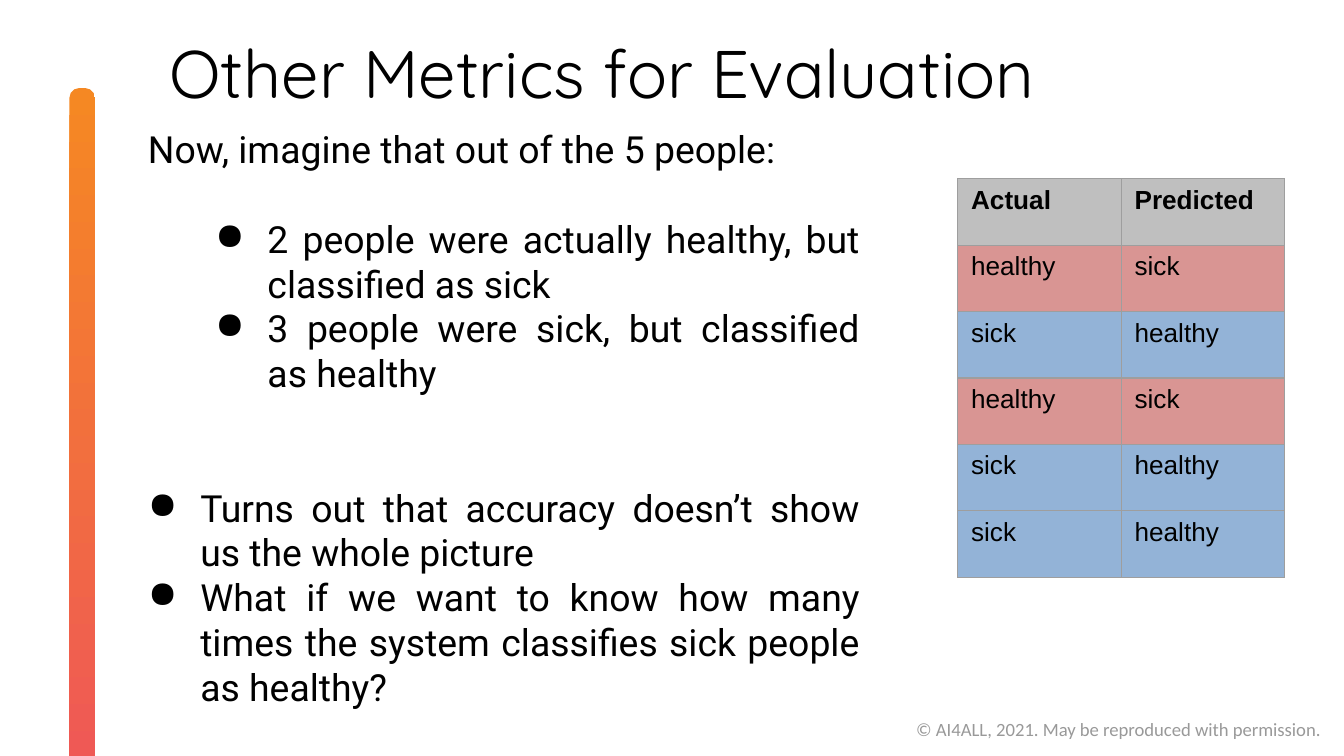
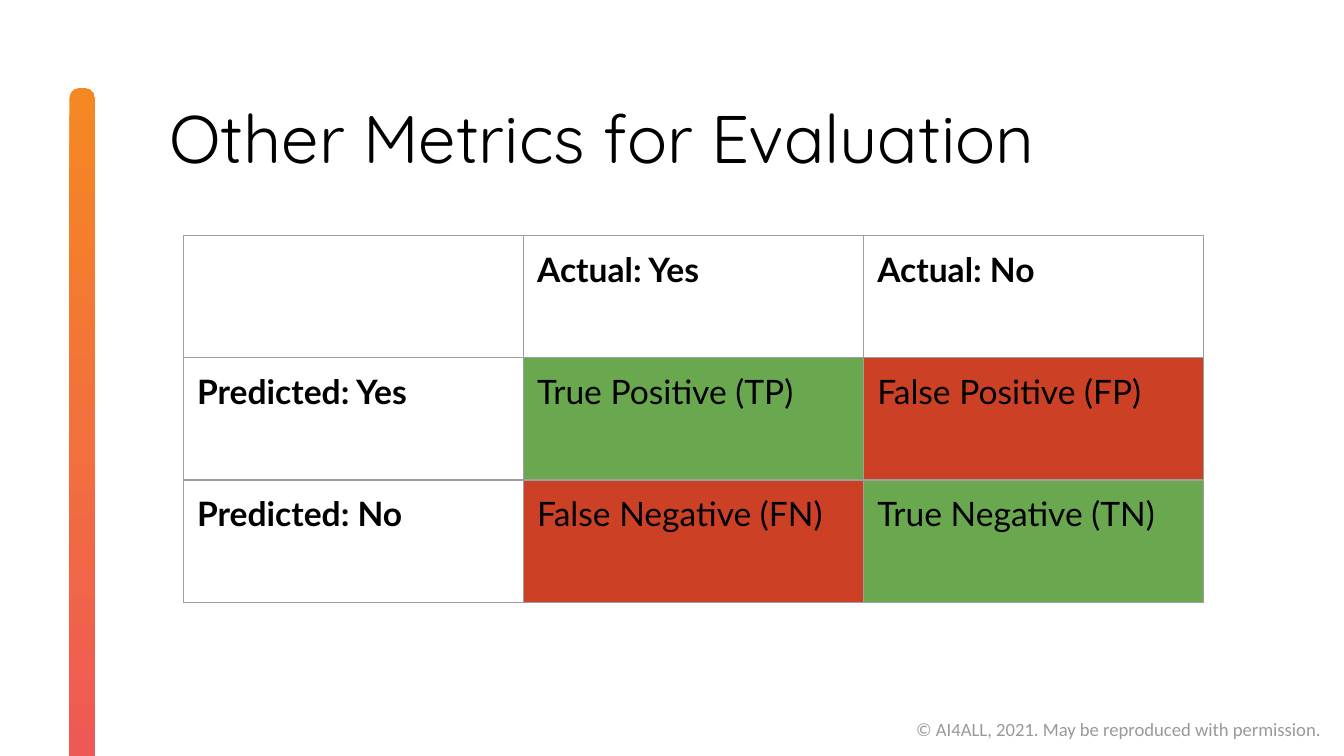
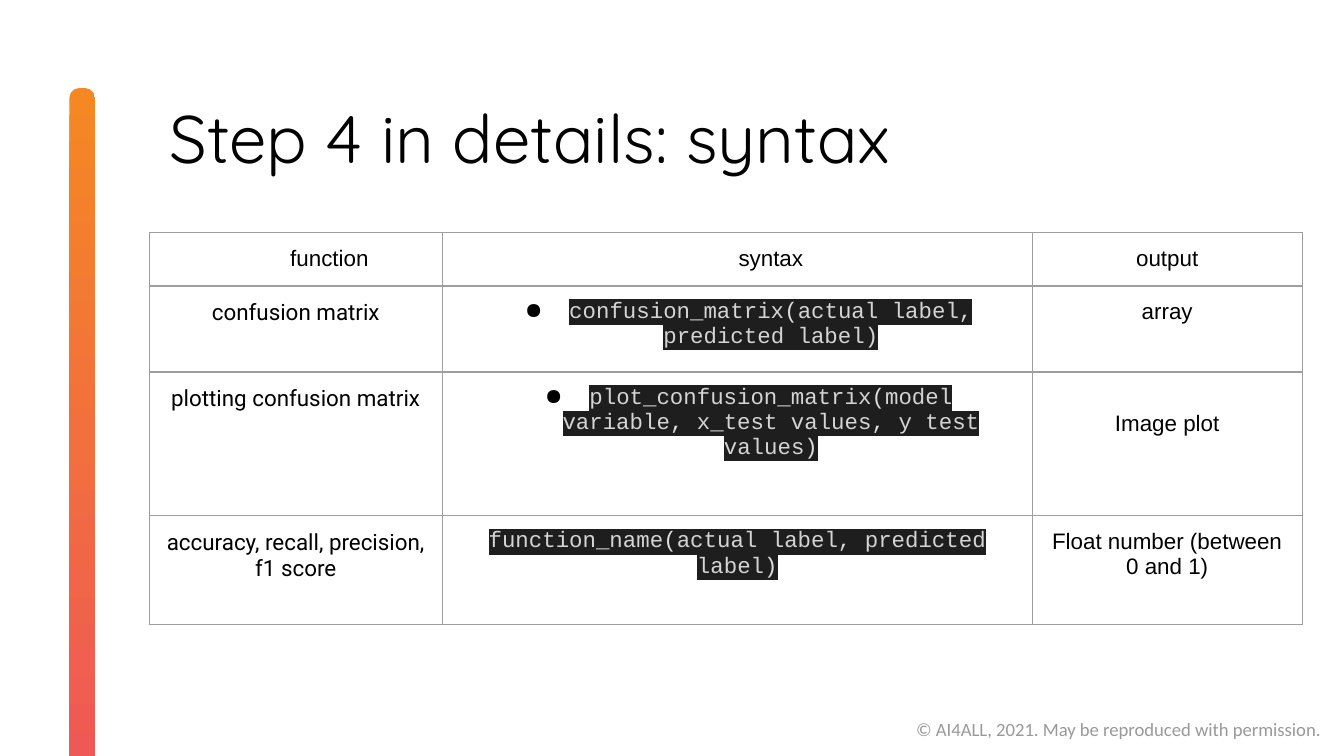
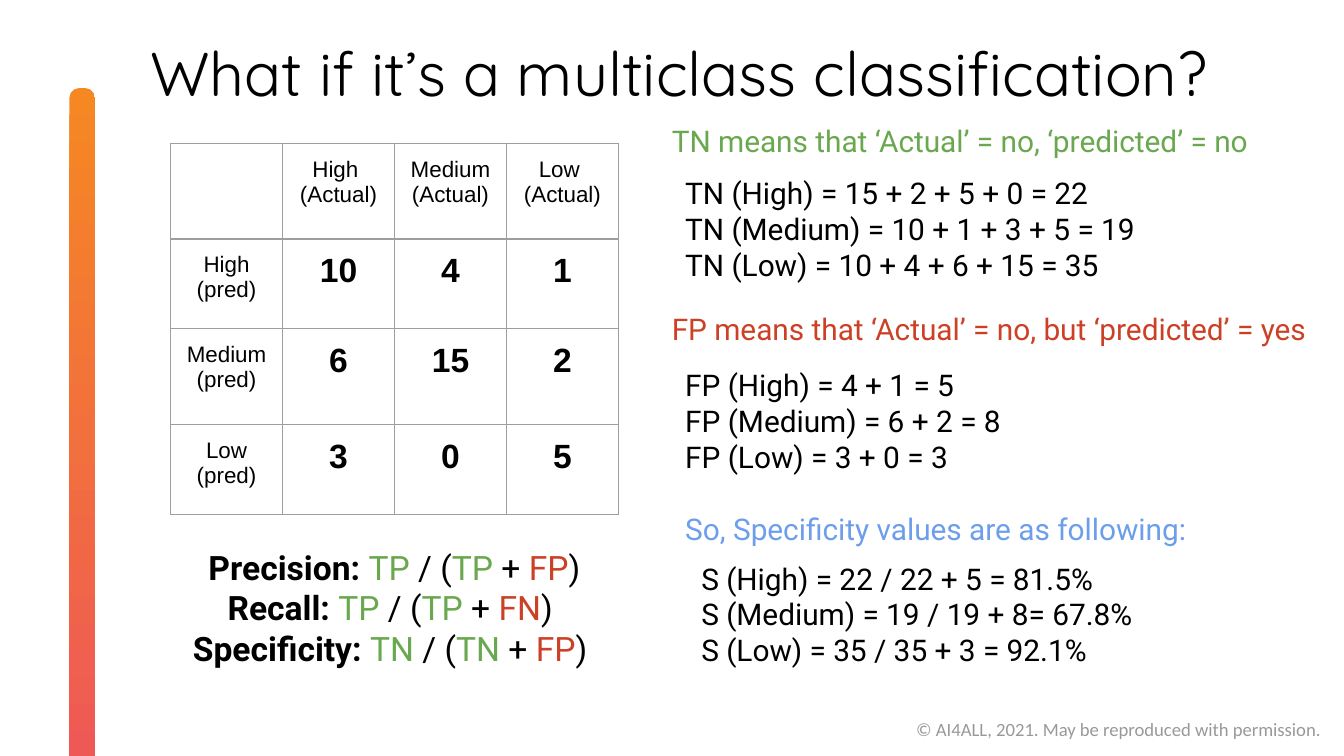
from itertools import cycle
from lxml.etree import SubElement
from pptx import Presentation
from pptx.dml.color import RGBColor
from pptx.enum.shapes import MSO_SHAPE
from pptx.enum.text import MSO_ANCHOR, PP_ALIGN
from pptx.oxml.ns import qn
from pptx.util import Pt

HUES = {
    "black": "000000", "white": "FFFFFF", "foot": "999999", "edge": "9E9E9E",
    "orange": "F58823", "coral": "EF5757", "head": "BFBFBF",
    "rose": "D99593", "sky": "93B3D7", "green": "6AA84F", "red": "CC4125",
    "blue": "6D9EEB", "code": "D4D4D4", "mark": "DCDCDC", "dark": "1E1E1E",
}
FOOT = "© AI4ALL, 2021. May be reproduced with permission."
CENTER = PP_ALIGN.CENTER

# Slide 1: text, left indent, hanging indent, space before
POINTS = [
    ("Now, imagine that out of the 5 people:", 8, 0, 0),
    ("2 people were actually healthy, but classified as sick", 72, 28, 24),
    ("3 people were sick, but classified as healthy", 72, 28, 0),
    ("Turns out that accuracy doesn’t show us the whole picture", 36, 28, 48),
    ("What if we want to know how many times the system classifies "
     "sick people as healthy?", 36, 28, 0),
]
CASES = [
    ("Actual", "Predicted"),
    ("healthy", "sick"),
    ("sick", "healthy"),
    ("healthy", "sick"),
    ("sick", "healthy"),
    ("sick", "healthy"),
]
TINTS = {"Actual": "head", "healthy": "rose", "sick": "sky"}

# Slide 2
MATRIX = [
    ("", "Actual: Yes", "Actual: No"),
    ("Predicted: Yes", "True Positive (TP)", "False Positive (FP)"),
    ("Predicted: No", "False Negative (FN)", "True Negative (TN)"),
]

# Slide 3: code pieces alternate between words and marks
SYNTAX = [
    ("function", "syntax", "output"),
    ("confusion matrix", "", "array"),
    ("plotting confusion matrix", "", "Image plot"),
    ("accuracy, recall, precision, f1 score", "",
     "Float number (between 0 and 1)"),
]
CALLS = [
    ("confusion_matrix", "(", "actual label, predicted label)"),
    ("plot_confusion_matrix", "(", "model variable", ", ", "x_test values",
     ",", " y test values", ")"),
    ("function_name", "(", "actual label, predicted label", ")"),
]

# Slide 4
COUNTS = [
    ("", "High \n(Actual)", "Medium (Actual)", "Low \n(Actual)"),
    ("High (pred)", "10", "4", "1"),
    ("Medium (pred)", "6", "15", "2"),
    ("Low (pred)", "3", "0", "5"),
]
RATIOS = [
    ("Precision: ", "TP", " / (", "TP ", "+ ", "FP", ")"),
    ("Recall: ", "TP", " / (", "TP", " + ", "FN", ") "),
    ("Specificity: ", "TN ", "/ (", "TN", " + ", "FP", ") "),
]
TERMS = {"TP": "green", "TN": "green", "FP": "red", "FN": "red"}
NOTES = [  # left, top, width, height, colour, text
    (352.8, 58.3, 364, 34, "green",
     "TN means that ‘Actual’ = no, ‘predicted’ = no"),
    (360, 86.4, 343, 73, "black",
     "TN (High) = 15 + 2 + 5 + 0 = 22\n"
     "TN (Medium) = 10 + 1 + 3 + 5 = 19\n"
     "TN (Low) = 10 + 4 + 6 + 15 = 35"),
    (360, 266.4, 364, 34, "blue", "So, Specificity values are as following:"),
    (368.6, 293, 301, 73, "black",
     "S (High) = 22 / 22 + 5 = 81.5%\n"
     "S (Medium) = 19 / 19 + 8= 67.8%\n"
     "S (Low) = 35 / 35 + 3 = 92.1%"),
    (360, 189.4, 292, 73, "black",
     "FP (High) = 4 + 1 = 5\nFP (Medium) = 6 + 2 = 8\nFP (Low) = 3 + 0 = 3"),
    (352.8, 159.1, 364, 34, "red",
     "FP means that ‘Actual’ = no, but ‘predicted’ = yes"),
]


def rgb(name):
    return RGBColor.from_string(HUES[name])


def pts(*nums):
    return [Pt(n) for n in nums]


# Text helpers
def style(run, size, face, hue="black", bold=False):
    font = run.font
    font.size, font.name, font.bold = Pt(size), face, bold
    font.color.rgb = rgb(hue)


def ink(frame, size, face, hue="black", bold=False, align=None):
    for para in frame.paragraphs:
        para.alignment = align
        for run in para.runs:
            style(run, size, face, hue, bold)


def pad(item, side, edge):
    item.margin_left = item.margin_right = Pt(side)
    item.margin_top = item.margin_bottom = Pt(edge)


def add_run(para, text, *look):
    run = para.add_run()
    run.text = text
    style(run, *look)
    return run


def indent(para, left, hang=0):
    props = para._p.get_or_add_pPr()
    props.set("marL", str(Pt(left)))
    props.set("indent", str(Pt(-hang)))
    if hang:
        tone = SubElement(props, qn("a:buClr"))
        SubElement(tone, qn("a:srgbClr"), val=HUES["black"])
        SubElement(props, qn("a:buChar"), char="●")


def shade(run, hue):
    fill = run._r.rPr.find(qn("a:solidFill"))
    mark = SubElement(run._r.rPr, qn("a:highlight"))
    SubElement(mark, qn("a:srgbClr"), val=HUES[hue])
    fill.addnext(mark)


def add_text(slide, box, text="", side=0, edge=0, wrap=True):
    frame = slide.shapes.add_textbox(*pts(*box)).text_frame
    frame.word_wrap = wrap
    pad(frame, side, edge)
    frame.text = text
    return frame


# Tables
def rule(cell):
    props = cell._tc.get_or_add_tcPr()
    for spot, side in enumerate(("lnL", "lnR", "lnT", "lnB")):
        line = SubElement(props, qn("a:" + side), w=str(Pt(0.75)))
        fill = SubElement(line, qn("a:solidFill"))
        SubElement(fill, qn("a:srgbClr"), val=HUES["edge"])
        props.insert(spot, line)


def add_grid(slide, left, top, wide, high, data, edge=7.2):
    box = pts(left, top, sum(wide), sum(high))
    grid = slide.shapes.add_table(len(high), len(wide), *box).table
    grid.first_row = grid.horz_banding = False
    for col, size in zip(grid.columns, wide):
        col.width = Pt(size)
    for row, size, texts in zip(grid.rows, high, data):
        row.height = Pt(size)
        for cell, text in zip(row.cells, texts):
            cell.text = text
            pad(cell, 7.2, edge)
            cell.fill.background()
            rule(cell)
    return grid


def paint(cell, hue):
    cell.fill.solid()
    cell.fill.fore_color.rgb = rgb(hue)


# Shared frame: footer, side band, title
def add_slide(deck, text, left=90.7, top=51.8, width=578, size=36):
    slide = deck.slides.add_slide(deck.slide_layouts[5])
    slide.background.fill.solid()
    slide.background.fill.fore_color.rgb = rgb("white")

    foot = add_text(slide, (483.8, 380.9, 233.3, 19.4), FOOT, 7.2, 3.6, False)
    ink(foot, 10, "Calibri", "foot")

    band = slide.shapes.add_shape(MSO_SHAPE.ROUNDED_RECTANGLE,
                                  *pts(-142.5, 226.8, 373, 13.7))
    band.rotation = 90
    band.adjustments[0] = 0.39
    band.shadow.inherit = False
    band.line.fill.background()
    band.fill.gradient()
    band.fill.gradient_angle = 0
    for stop, hue in zip(band.fill.gradient_stops, ("orange", "coral")):
        stop.color.rgb = rgb(hue)

    title = slide.shapes.title
    title.left, title.top, title.width, title.height = pts(left, top, width, 51)
    frame = title.text_frame
    frame.text = text
    frame.vertical_anchor = MSO_ANCHOR.TOP
    pad(frame, 0, 0)
    ink(frame, size, "Quicksand", align=PP_ALIGN.LEFT)
    return slide


def show_cases(deck):
    slide = add_slide(deck, "Other Metrics for Evaluation", top=16.6)
    frame = add_text(slide, (71.3, 67.7, 389.5, 313),
                     "\n".join(point[0] for point in POINTS))
    ink(frame, 20, "Roboto", align=PP_ALIGN.JUSTIFY)
    for para, (_, left, hang, gap) in zip(frame.paragraphs, POINTS):
        indent(para, left, hang)
        if gap:
            para.space_before = Pt(gap)

    grid = add_grid(slide, 513, 95.8, [87.6] * 2, [35.6] * 6, CASES, 3.6)
    for num, row in enumerate(grid.rows):
        for cell in row.cells:
            ink(cell.text_frame, 14, "Arial", bold=num == 0)
            paint(cell, TINTS[CASES[num][0]])


def show_matrix(deck):
    slide = add_slide(deck, "Other Metrics for Evaluation")
    grid = add_grid(slide, 98.4, 126.2, [182.2] * 3, [65.5] * 3, MATRIX)
    for r, row in enumerate(grid.rows):
        for c, cell in enumerate(row.cells):
            ink(cell.text_frame, 18, "Lato", bold=r == 0 or c == 0)
            if r and c:
                paint(cell, "green" if r == c else "red")


def show_syntax(deck):
    slide = add_slide(deck, "Step 4 in details: syntax")
    grid = add_grid(slide, 80, 124.4, [157, 316, 144.7],
                    [27.5, 46.1, 77, 58.3], SYNTAX)
    for r, row in enumerate(grid.rows):
        for c, cell in enumerate(row.cells):
            face = "Roboto" if r and c == 0 else "Arial"
            ink(cell.text_frame, 12, face, align=CENTER)
            if r == 0 and c < 2:
                indent(cell.text_frame.paragraphs[0], 36)
    for r, call in enumerate(CALLS, 1):
        para = grid.cell(r, 1).text_frame.paragraphs[0]
        if r < len(CALLS):
            indent(para, 36, 23.8)
        for text, hue in zip(call, cycle(("code", "mark"))):
            shade(add_run(para, text, 12, "Courier New", hue), "dark")
    grid.cell(2, 2).margin_top = Pt(21)


def show_classes(deck):
    slide = add_slide(deck, "What if it’s a multiclass classification?",
                      80.6, 18.7, 605, 33)
    frame = add_text(slide, (91.4, 293, 239.8, 87))
    for num, ratio in enumerate(RATIOS):
        para = frame.add_paragraph() if num else frame.paragraphs[0]
        para.alignment = CENTER
        for spot, text in enumerate(ratio):
            hue = TERMS.get(text.strip(), "black")
            add_run(para, text, 18, "Roboto", hue, spot == 0)

    grid = add_grid(slide, 91.4, 76.8, [60] * 4, [51.2, 48.2] * 2, COUNTS)
    for r, row in enumerate(grid.rows):
        for c, cell in enumerate(row.cells):
            count = r > 0 and c > 0
            ink(cell.text_frame, 18 if count else 12, "Arial",
                bold=count, align=CENTER)

    for *box, hue, text in NOTES:
        ink(add_text(slide, box, text, 7.2, 7.2), 16, "Roboto", hue)


def main():
    deck = Presentation()
    deck.slide_width, deck.slide_height = pts(720, 405)
    for show in (show_cases, show_matrix, show_syntax, show_classes):
        show(deck)
    deck.save("out.pptx")


if __name__ == "__main__":
    main()
